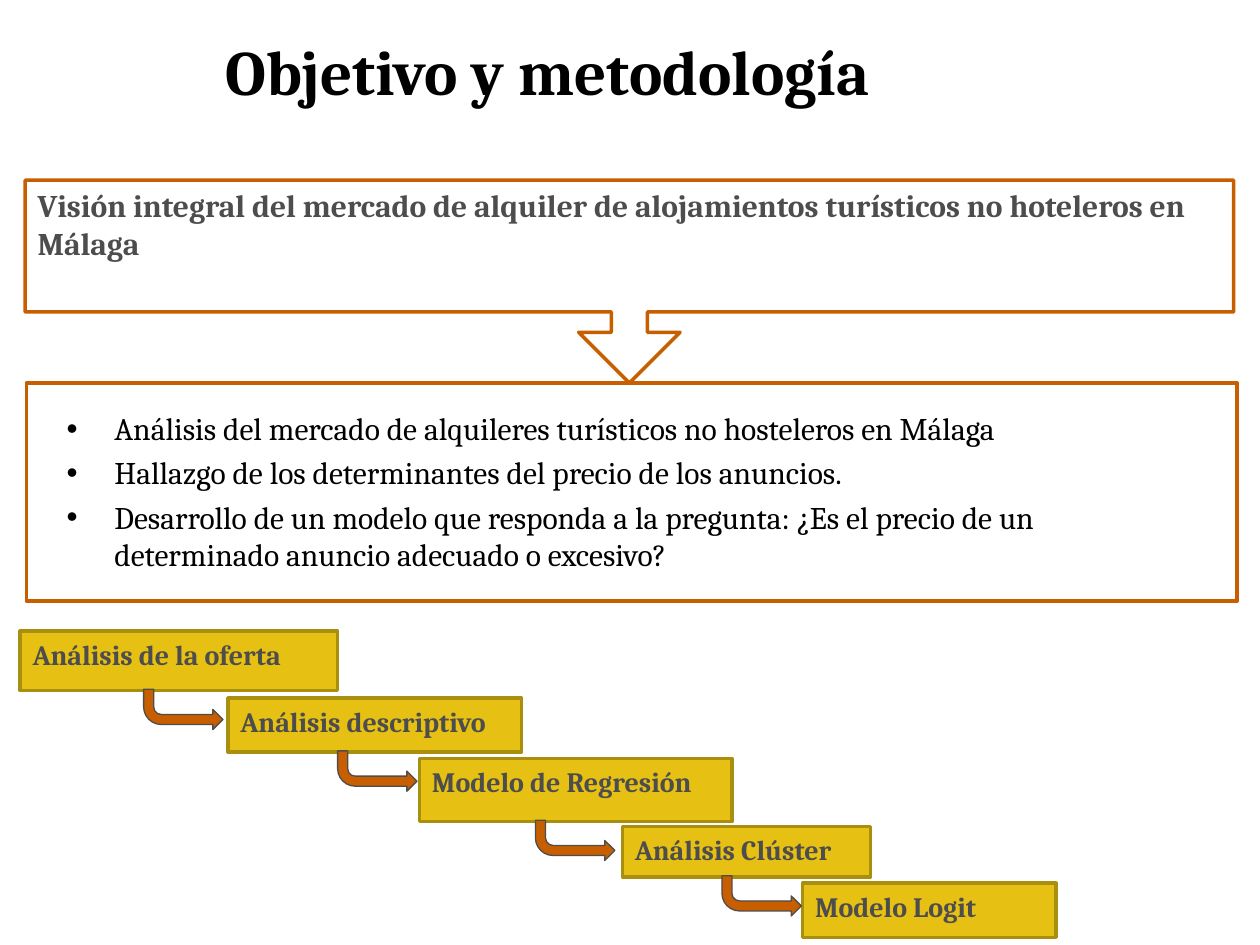
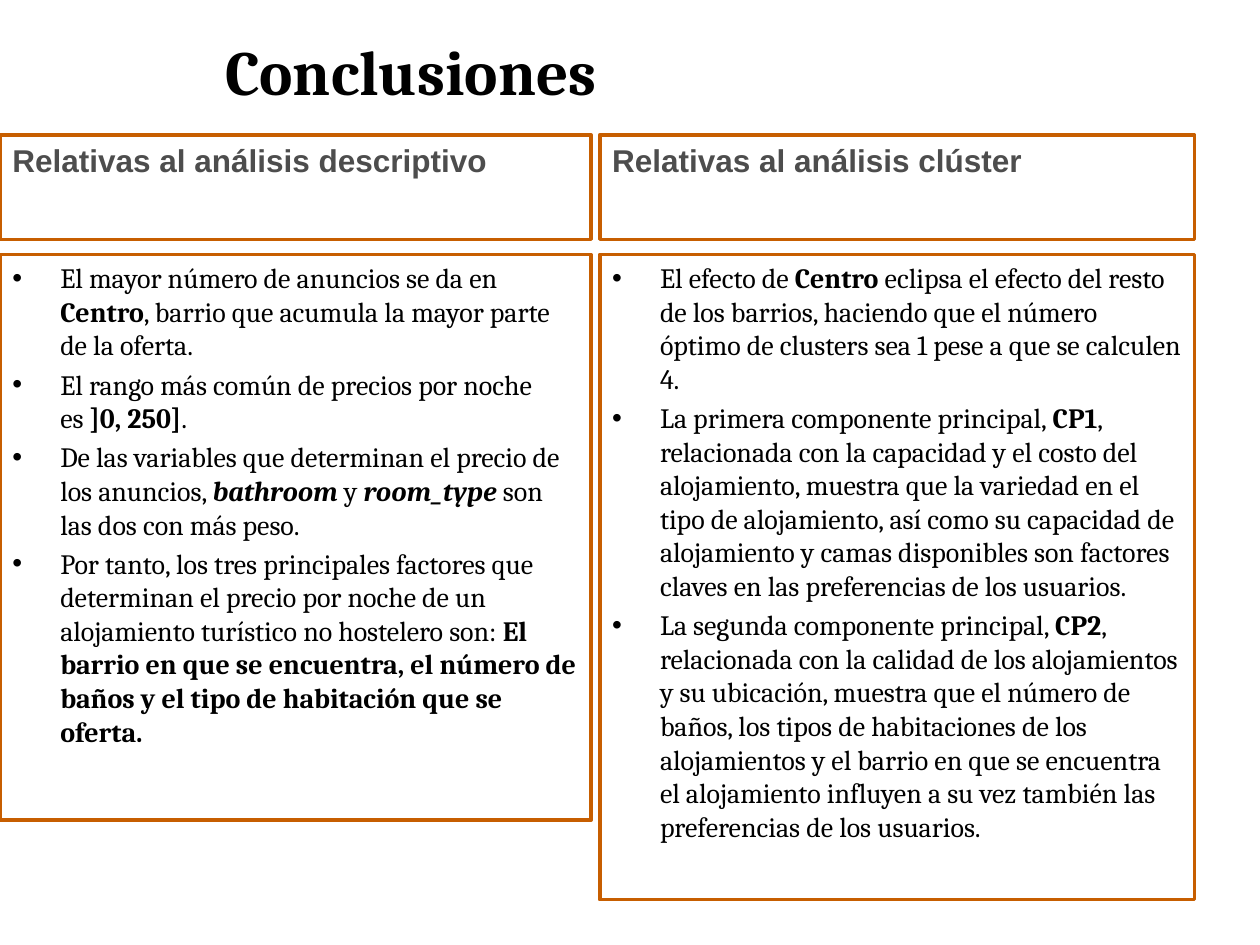
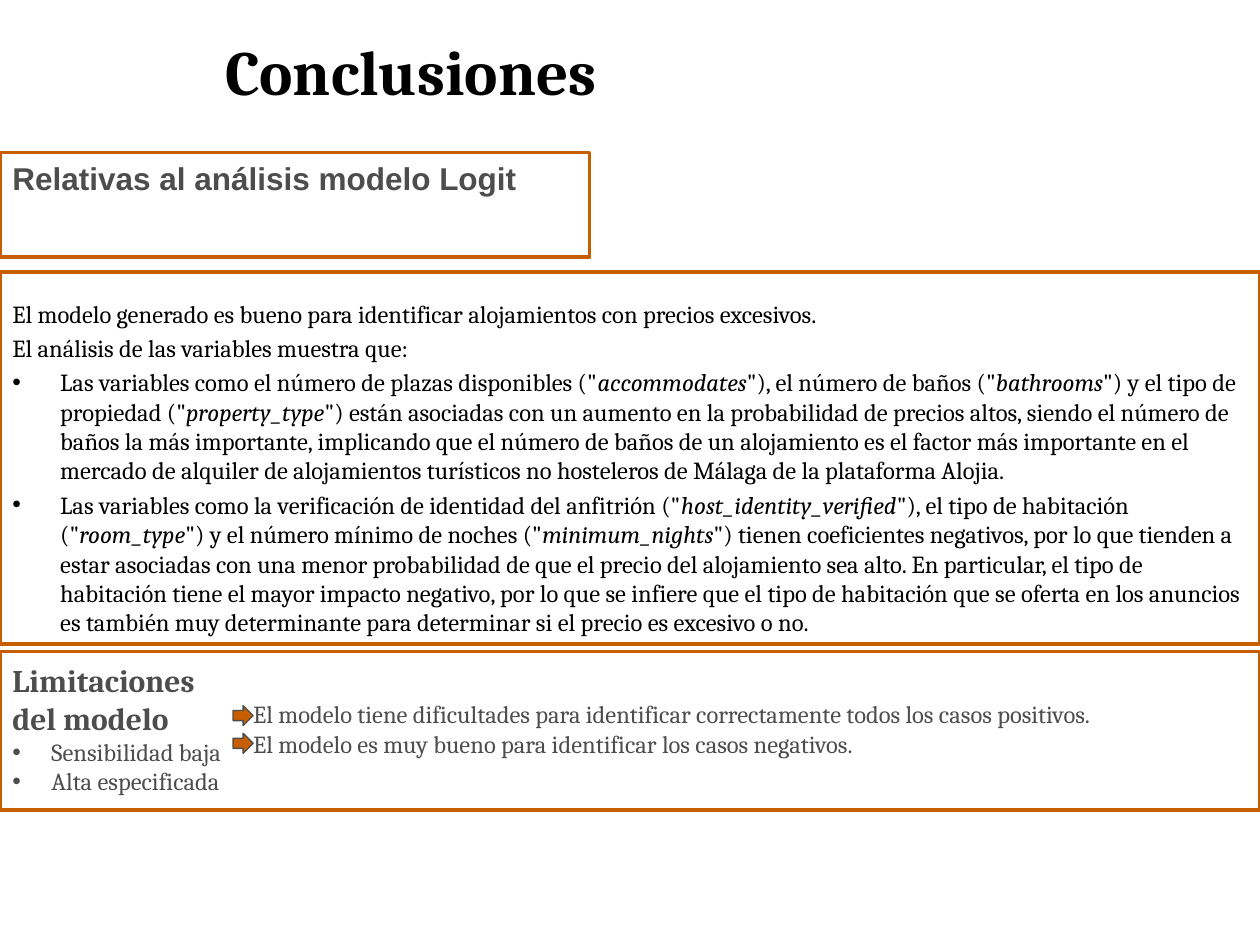
from lxml import etree
from pptx import Presentation
from pptx.dml.color import RGBColor
from pptx.enum import shapes, text
from pptx.oxml.ns import qn
from pptx.util import Inches, Pt

ORANGE = RGBColor(0xC7, 0x5E, 0x00)
YELLOW = RGBColor(0xE6, 0xC0, 0x13)
OLIVE = RGBColor(0xAA, 0x8E, 0x0E)
GRAY = RGBColor(0x4D, 0x4D, 0x4D)
BLACK = RGBColor(0, 0, 0)
WHITE = RGBColor(255, 255, 255)
SERIF, SANS = "Cambria", "Arial"
SHAPE = shapes.MSO_SHAPE

# Asterisks enclose emphasised words; the second item says how: b(old), i(talic)
GOAL = "Visión integral del mercado de alquiler de alojamientos turísticos no hoteleros en Málaga"
TASKS = [
    ("Análisis del mercado de alquileres turísticos no hosteleros en Málaga", ""),
    ("Hallazgo de los determinantes del precio de los anuncios.", ""),
    ("Desarrollo de un modelo que responda a la pregunta: ¿Es el precio de un determinado "
     "anuncio adecuado o excesivo?", ""),
]
# label, box, left of the arrow to the next step
STEPS = [
    ("Análisis de la oferta", (0.16, 5.01, 2.52, 0.47), 1.14),
    ("Análisis descriptivo", (1.81, 5.54, 2.33, 0.43), 2.68),
    ("Modelo de Regresión", (3.33, 6.02, 2.48, 0.5), 4.25),
    ("Análisis Clúster", (4.94, 6.56, 1.97, 0.4), 5.73),
    ("Modelo Logit", (6.37, 7.01, 2.01, 0.43), None),
]
# heading, left, width, frame height, bullets
COLUMNS = [
    ("Relativas al análisis descriptivo", 0, 4.69, 4.49, [
        ("El mayor número de anuncios se da en *Centro*, barrio que acumula la mayor parte "
         "de la oferta.", "b"),
        ("El rango más común de precios por noche es *]0, 250]*.", "b"),
        ("De las variables que determinan el precio de los anuncios, *bathroom *y *room_type* "
         "son las dos con más peso.", "bi"),
        ("Por tanto, los tres principales factores que determinan el precio por noche de un "
         "alojamiento turístico no hostelero son: *El barrio en que se encuentra, el número "
         "de baños y el tipo de habitación que se oferta.*", "b"),
    ]),
    ("Relativas al análisis clúster", 4.76, 4.72, 5.12, [
        ("El efecto de *Centro* eclipsa el efecto del resto de los barrios, haciendo que el "
         "número óptimo de clusters sea 1 pese a que se calculen 4.", "b"),
        ("La primera componente principal, *CP1*, relacionada con la capacidad y el costo del "
         "alojamiento, muestra que la variedad en el tipo de alojamiento, así como su "
         "capacidad de alojamiento y camas disponibles son factores claves en las "
         "preferencias de los usuarios.", "b"),
        ("La segunda componente principal, *CP2*, relacionada con la calidad de los "
         "alojamientos y su ubicación, muestra que el número de baños, los tipos de "
         "habitaciones de los alojamientos y el barrio en que se encuentra el alojamiento "
         "influyen a su vez también las preferencias de los usuarios.", "b"),
    ]),
]
LOGIT_HEADING = "Relativas al análisis modelo Logit"
LOGIT_INTRO = [
    ("El modelo generado es bueno para identificar alojamientos con precios excesivos.", ""),
    ("El análisis de las variables muestra que:", ""),
]
LOGIT_FINDINGS = [
    ('Las variables como el número de plazas disponibles ("*accommodates*"), el número de '
     'baños ("*bathrooms*") y el tipo de propiedad ("*property_type*") están asociadas con un '
     'aumento en la probabilidad de precios altos, siendo el número de baños la más '
     'importante, implicando que el número de baños de un alojamiento es el factor más '
     'importante en el mercado de alquiler de alojamientos turísticos no hosteleros de Málaga '
     'de la plataforma Alojia.', "i"),
    ('Las variables como la verificación de identidad del anfitrión '
     '("*host_identity_verified*"), el tipo de habitación ("*room_type*") y el número mínimo '
     'de noches ("*minimum_nights*") tienen coeficientes negativos, por lo que tienden a '
     'estar asociadas con una menor probabilidad de que el precio del alojamiento sea alto. '
     'En particular, el tipo de habitación tiene el mayor impacto negativo, por lo que se '
     'infiere que el tipo de habitación que se oferta en los anuncios es también muy '
     'determinante para determinar si el precio es excesivo o no.', "i"),
]
LIMITS_HEADING = "Limitaciones del modelo"
LIMITS = [
    ("Sensibilidad baja", "El modelo tiene dificultades para identificar correctamente todos "
                          "los casos positivos."),
    ("Alta especificada", "El modelo es muy bueno para identificar los casos negativos."),
]


def write(frame, items, size, color=BLACK, font=SERIF, bold=False, indent=0, before=20):
    """Append (text, emphasis) paragraphs; an indent gives them bullets, before is in percent."""
    frame.word_wrap = True
    for content, emphasis in items:
        paragraph = frame.paragraphs[0]
        if paragraph.runs:
            paragraph = frame.add_paragraph()
        paragraph.alignment = text.PP_ALIGN.LEFT
        properties = paragraph._p.get_or_add_pPr()
        spacing = etree.SubElement(properties, qn("a:spcBef"))
        etree.SubElement(spacing, qn("a:spcPct"), val=str(before * 1000))
        if indent:
            properties.set("marL", str(Inches(indent)))
            properties.set("indent", str(Inches(-indent)))
            etree.SubElement(properties, qn("a:buFont"), typeface=SANS)
            etree.SubElement(properties, qn("a:buChar"), char="•")
        paragraph.font.size = Pt(size)
        paragraph.font.name = font
        paragraph.font.bold = bold
        paragraph.font.color.rgb = color
        for index, part in enumerate(content.split("*")):
            if part:
                run = paragraph.add_run()
                run.text = part
                if index % 2:
                    run.font.bold = "b" in emphasis
                    run.font.italic = "i" in emphasis


def add_text(slide, box, items=(), size=16, **style):
    frame = slide.shapes.add_textbox(*map(Inches, box)).text_frame
    write(frame, items, size, **style)
    return frame


def add_box(slide, box, label="", size=18, font=SERIF, kind=SHAPE.RECTANGLE,
            fill=WHITE, line=ORANGE, width=2):
    shape = slide.shapes.add_shape(kind, *map(Inches, box))
    shape.shadow.inherit = False
    shape.fill.solid()
    shape.fill.fore_color.rgb = fill
    shape.line.color.rgb = line
    shape.line.width = Pt(width)
    if label:
        shape.text_frame.vertical_anchor = text.MSO_ANCHOR.TOP
        write(shape.text_frame, [(label, "")], size, GRAY, font, bold=True, before=0)
    return shape


def add_arrow(slide, box, kind):
    return add_box(slide, box, kind=kind, fill=ORANGE, line=GRAY, width=0.75)


def add_slide(presentation, title):
    slide = presentation.slides.add_slide(presentation.slide_layouts[6])
    frame = add_text(slide, (1.69, 0.28, 8.11, 0.56), [(title, "")], 36, bold=True, before=0)
    frame.vertical_anchor = text.MSO_ANCHOR.MIDDLE
    return slide


def build_method(presentation):
    slide = add_slide(presentation, "Objetivo y metodología")
    callout = add_box(slide, (0.2, 1.43, 9.59, 1.61), GOAL, kind=SHAPE.DOWN_ARROW_CALLOUT)
    for index, value in enumerate((0.177, 0.25, 0.25, 0.65)):
        callout.adjustments[index] = value
    add_box(slide, (0.21, 3.04, 9.61, 1.73))
    add_text(slide, (0.43, 3.2, 8.5, 1.5), TASKS, 18, indent=0.38)
    for label, box, _ in STEPS:
        add_box(slide, box, label, 16, fill=YELLOW, line=OLIVE)
    for _, (_, top, _, height), arrow_left in STEPS[:-1]:
        arrow = add_arrow(slide, (arrow_left, top + height - 0.01, 0.63, 0.32), SHAPE.BENT_ARROW)
        arrow.element.spPr.find(qn("a:xfrm")).set("flipV", "1")


def build_conclusions(presentation):
    slide = add_slide(presentation, "Conclusiones")
    for heading, left, width, height, bullets in COLUMNS:
        frame_box = (left, 2.02, width, height)
        add_box(slide, (left, 1.07, width, 0.83), heading, font=SANS)
        add_box(slide, frame_box)
        add_text(slide, frame_box, bullets, indent=0.38)


def build_logit(presentation):
    slide = add_slide(presentation, "Conclusiones")
    add_box(slide, (0, 1.21, 4.68, 0.83), LOGIT_HEADING, font=SANS)
    add_box(slide, (0, 2.16, 10, 2.95))
    frame = add_text(slide, (0, 2.32, 10, 2.79), LOGIT_INTRO, 14)
    write(frame, LOGIT_FINDINGS, 14, indent=0.38)

    add_box(slide, (0, 5.17, 10, 1.26))
    frame = add_text(slide, (0, 5.2, 1.95, 1.11), size=14)
    frame.word_wrap = False
    labels = [(label, "") for label, _ in LIMITS]
    meanings = [(meaning, "") for _, meaning in LIMITS]
    write(frame, [(LIMITS_HEADING, "")], 18, GRAY, bold=True, before=0)
    write(frame, labels, 14, GRAY, indent=0.31, before=0)
    frame.word_wrap = False
    add_text(slide, (1.91, 5.5, 8.09, 0.6), meanings, 14, color=GRAY, before=0)
    for row in range(len(LIMITS)):
        add_arrow(slide, (1.85, 5.6 + 0.22 * row, 0.16, 0.16), SHAPE.RIGHT_ARROW)


def main():
    presentation = Presentation()
    presentation.slide_width = Inches(10)
    presentation.slide_height = Inches(7.5)
    build_method(presentation)
    build_conclusions(presentation)
    build_logit(presentation)
    presentation.save("out.pptx")


if __name__ == "__main__":
    main()
